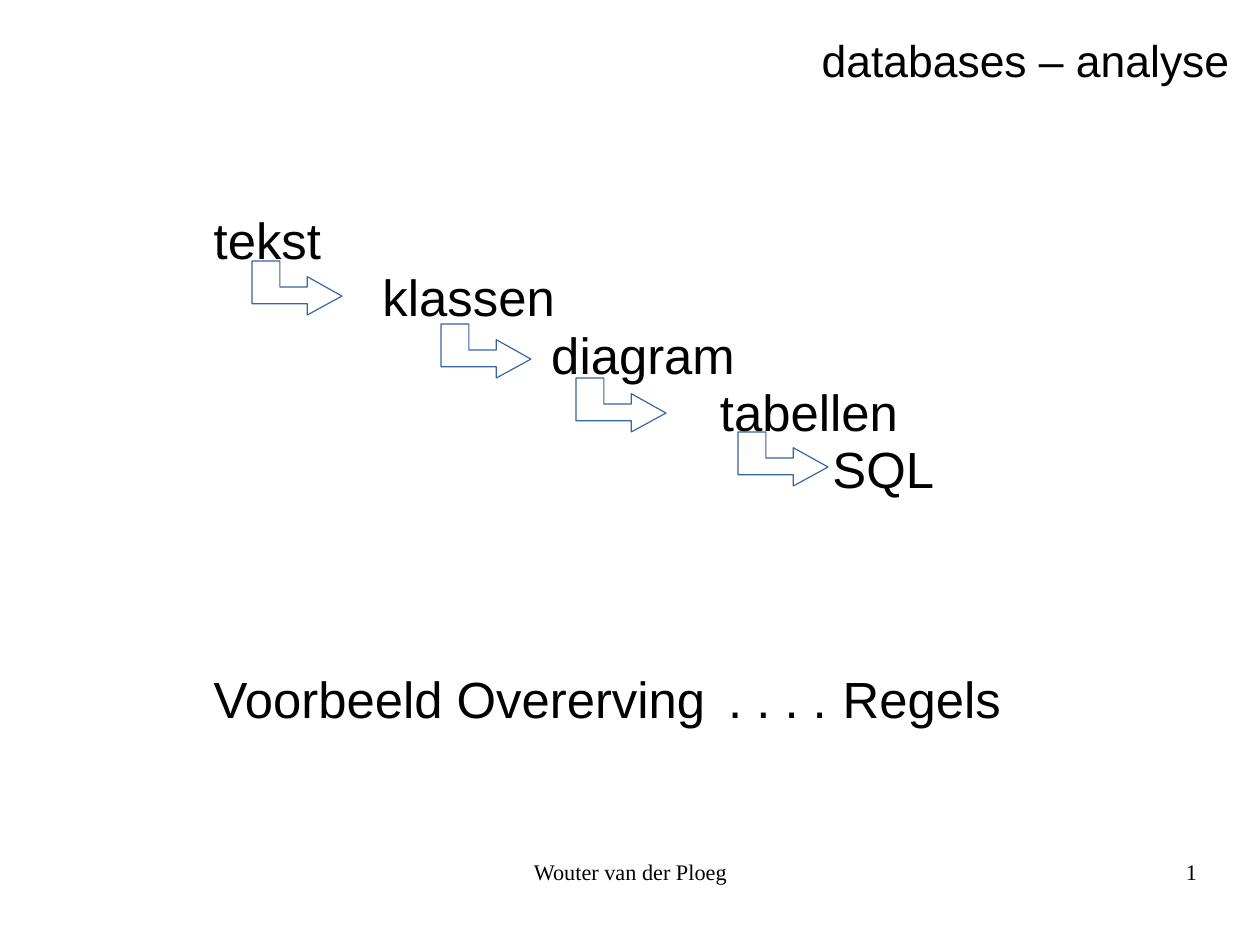
from dataclasses import dataclass

import pptx
import pptx.dml.color
import pptx.enum.text
import pptx.oxml
import pptx.oxml.ns
import pptx.slide
import pptx.text.text
import pptx.util

BLACK = pptx.dml.color.RGBColor(0x00, 0x00, 0x00)
WHITE = pptx.dml.color.RGBColor(0xFF, 0xFF, 0xFF)
BLUE = pptx.dml.color.RGBColor(0x34, 0x65, 0xA4)
ALIGN = pptx.enum.text.PP_ALIGN

# The slide is a grid of square cells
COLUMNS, ROWS = 28, 21
CELL = pptx.util.Inches(11.02) / COLUMNS
INDENT_STEP = 1.25


def cells(count: float) -> pptx.util.Emu:
    return pptx.util.Emu(round(count * CELL))


@dataclass
class Line:
    runs: list[str]
    indent_steps: int = 0
    space_before: float = 0
    tab_stops: tuple[float, ...] = ()


@dataclass
class TextBlock:
    column: float
    row: float
    width: float
    height: float
    lines: list[Line]
    size: int
    font: str = "Arial"
    align: ALIGN = ALIGN.LEFT
    spacing: float = 0.94
    insets: tuple[float, float, float] = (0.25, 0.18, 0)
    wrap: bool = True


@dataclass
class StepArrow:
    column: float
    row: float


FOOTER_STYLE = dict(row=19.13, height=1.45, size=14, font="Times New Roman",
                    spacing=0.93, insets=(0, 0, 0))
TEXT_BLOCKS = [
    TextBlock(column=9.58, width=8.86, lines=[Line(["Wouter van der Ploeg"])],
              align=ALIGN.CENTER, **FOOTER_STYLE),
    TextBlock(column=20.07, width=6.53, lines=[Line(["1"])],
              align=ALIGN.RIGHT, **FOOTER_STYLE),
    TextBlock(18.01, 0.64, 9.58, 1.35, [Line(["databases – analyse"])], 28,
              insets=(0.25, 0.18, 0.25), wrap=False),
    TextBlock(4.5, 4.55, 19.38, 11.66, [
        Line(["tekst"]),
        Line(["klassen"], 3),
        Line(["diagram"], 6),
        Line(["tabellen"], 9),
        Line(["SQL"], 11),
        Line(["Voorbeeld Overerving", "\t. . . .", "\tRegels"],
             space_before=108.2, tab_stops=(12.09, 15.2)),
    ], 32, insets=(0.25, 0.2, 0)),
]

STEP_ARROWS = [StepArrow(5.6, 5.8), StepArrow(9.8, 7.2),
               StepArrow(12.8, 8.4), StepArrow(16.4, 9.6)]
ARROW_OUTLINE = [(1.23, 0.35), (1.23, 0.58), (0.62, 0.58), (0.62, 0), (0, 0),
                 (0, 0.95), (1.23, 0.95), (1.23, 1.2), (2, 0.78)]


def fill_paragraph(paragraph: pptx.text.text._Paragraph, line: Line, block: TextBlock) -> None:
    paragraph.alignment = block.align
    paragraph.line_spacing = block.spacing
    if line.space_before:
        paragraph.space_before = pptx.util.Pt(line.space_before)
    properties = paragraph._p.get_or_add_pPr()
    properties.set("marL", str(cells(line.indent_steps * INDENT_STEP)))
    properties.set("indent", "0")
    if line.tab_stops:
        stops = "".join(f'<a:tab pos="{cells(stop)}" algn="l"/>' for stop in line.tab_stops)
        properties.append(pptx.oxml.parse_xml(
            f'<a:tabLst {pptx.oxml.ns.nsdecls("a")}>{stops}</a:tabLst>'))
    for text in line.runs:
        run = paragraph.add_run()
        run.text = text
        run.font.size = pptx.util.Pt(block.size)
        run.font.name = block.font
        run.font.color.rgb = BLACK


def draw_text(slide: pptx.slide.Slide, block: TextBlock) -> None:
    shape = slide.shapes.add_textbox(cells(block.column), cells(block.row),
                                     cells(block.width), cells(block.height))
    frame = shape.text_frame
    frame.word_wrap = block.wrap
    left, top, right = block.insets
    frame.margin_left, frame.margin_top = cells(left), cells(top)
    frame.margin_right, frame.margin_bottom = cells(right), 0
    for index, line in enumerate(block.lines):
        paragraph = frame.add_paragraph() if index else frame.paragraphs[0]
        fill_paragraph(paragraph, line, block)


def draw_arrow(slide: pptx.slide.Slide, arrow: StepArrow) -> None:
    points = [(cells(arrow.column + x), cells(arrow.row + y)) for x, y in ARROW_OUTLINE]
    builder = slide.shapes.build_freeform(*points[0])
    builder.add_line_segments(points[1:], close=True)
    shape = builder.convert_to_shape()
    shape.shadow.inherit = False
    shape.fill.solid()
    shape.fill.fore_color.rgb = WHITE
    shape.line.color.rgb = BLUE
    shape.line.width = pptx.util.Pt(0.75)


def main() -> None:
    presentation = pptx.Presentation()
    presentation.slide_width = cells(COLUMNS)
    presentation.slide_height = cells(ROWS)
    slide = presentation.slides.add_slide(presentation.slide_layouts[6])

    # Footer, title and steps
    for block in TEXT_BLOCKS:
        draw_text(slide, block)

    # Arrows between the steps
    for arrow in STEP_ARROWS:
        draw_arrow(slide, arrow)

    presentation.save("out.pptx")


if __name__ == "__main__":
    main()
